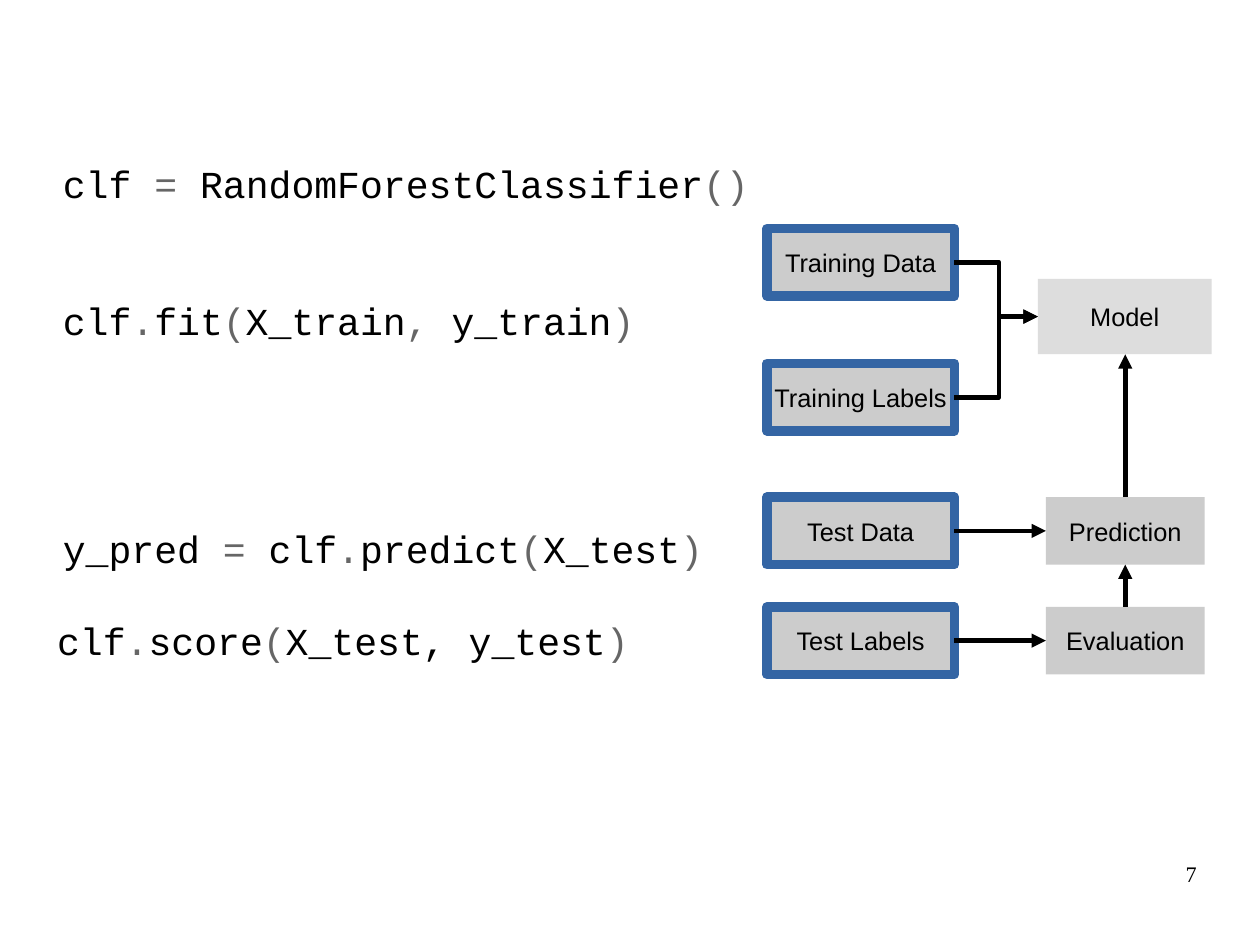
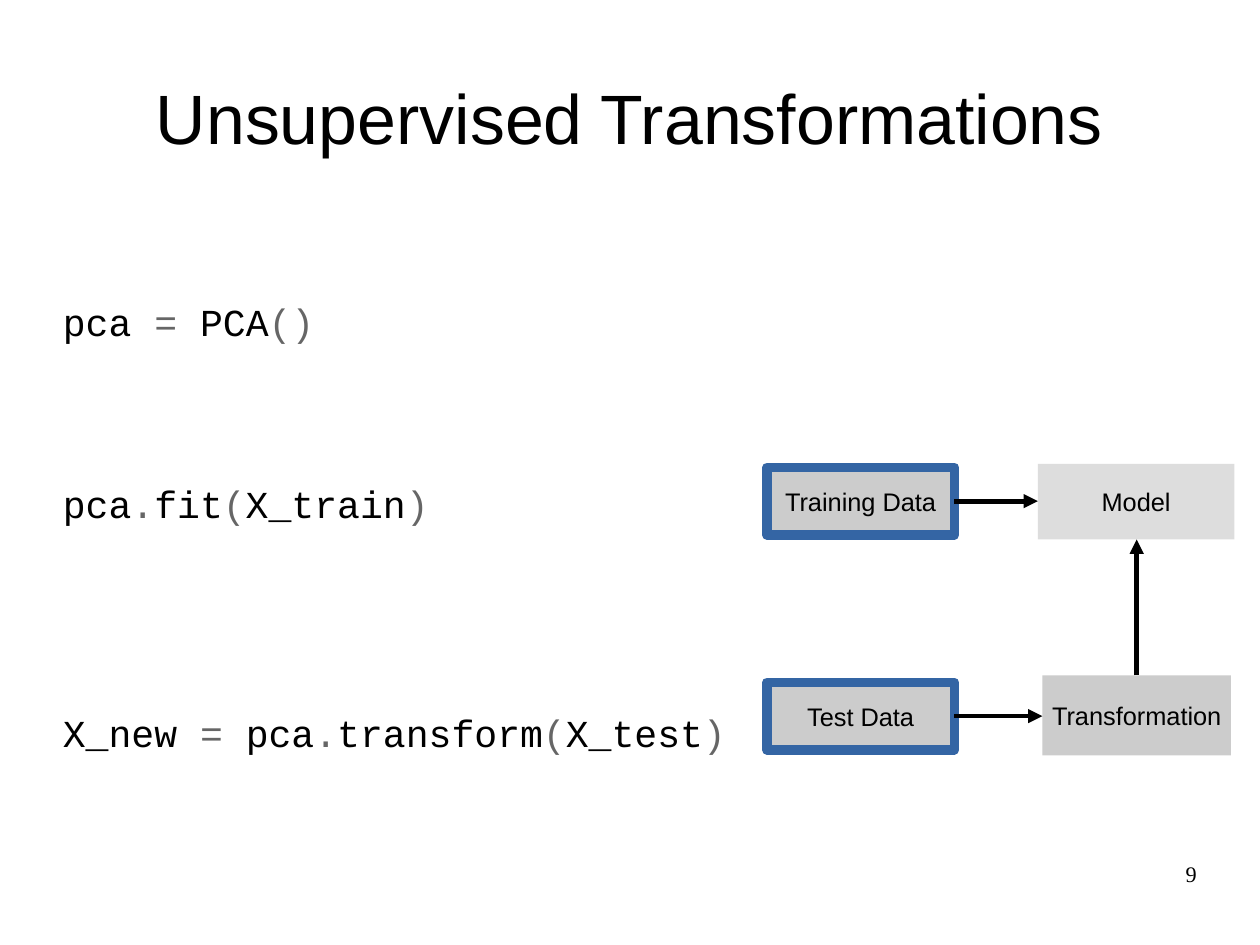
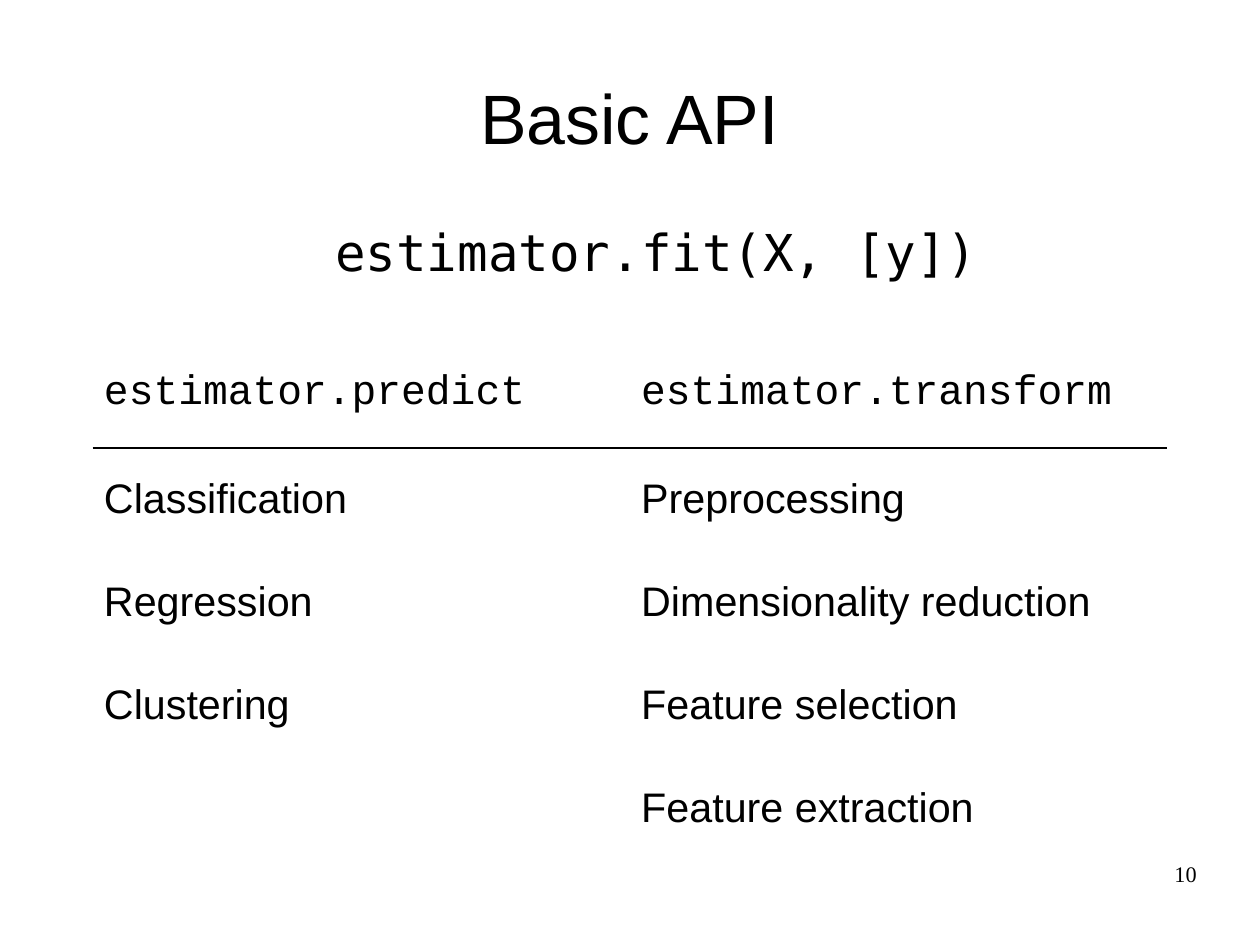
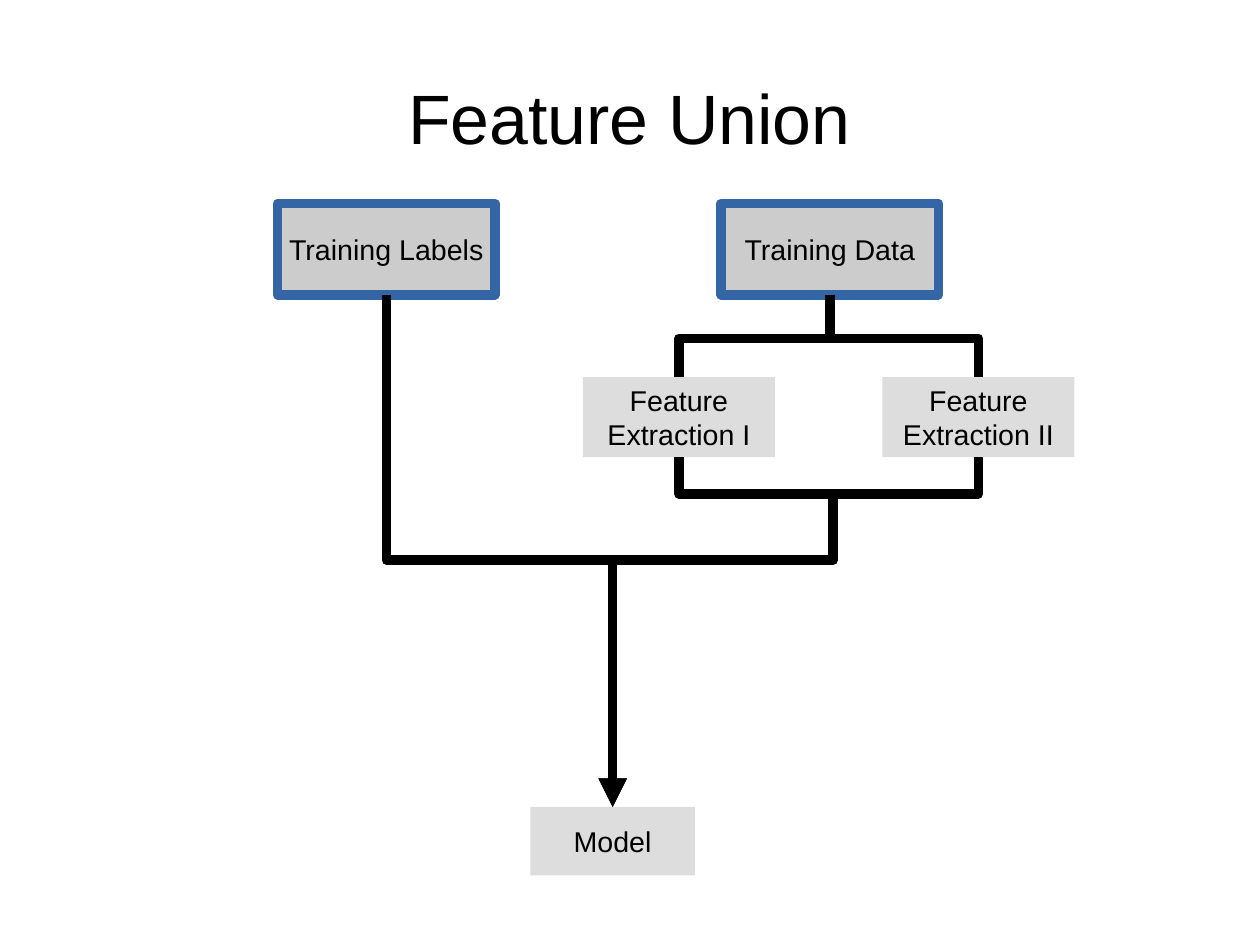
"""Build four slides on estimator interfaces with flow diagrams and a table."""
from itertools import groupby

from lxml.etree import SubElement
from pptx import Presentation
from pptx.dml.color import RGBColor
from pptx.enum.shapes import MSO_CONNECTOR as Connector, MSO_SHAPE as Shape
from pptx.enum.text import MSO_ANCHOR as Anchor, PP_ALIGN as Align
from pptx.oxml import parse_xml
from pptx.oxml.ns import nsdecls, qn
from pptx.util import Inches, Pt

SLIDE_SIZE = (28 / 2.54, 21 / 2.54)
BLACK, OPERATOR = "000000", "666666"
GREY, LIGHT, BLUE, WHITE = "CCCCCC", "DDDDDD", "3465A4", "FFFFFF"
SANS, SERIF, CODE, WIDE_CODE = "Arial", "Times New Roman", "Courier New", "DejaVu Sans Mono"
NO_TABLE_STYLE = "{2D5ABB26-0587-4C30-8999-92F81FD0307C}"
OPERATORS = "=.(),"

TITLE_AREA = (0.55, 0.33, 9.92, 1.38)
NUMBER_AREA = (7.9, 7.53, 2.57, 0.57)
DATA, MODEL, STEP = (GREY, BLUE), (LIGHT, None), (GREY, None)

SUPERVISED_CODE = [
    ("clf = RandomForestClassifier()", 0),
    ("clf.fit(X_train, y_train)", 57.5),
    ("y_pred = clf.predict(X_test)", 115),
]
SCORE_CODE = [("clf.score(X_test, y_test)", 0)]
SUPERVISED_BOXES = {
    "Training Data": (6.71, 2, 1.64, 0.59, DATA),
    "Training Labels": (6.71, 3.18, 1.64, 0.59, DATA),
    "Test Data": (6.71, 4.35, 1.64, 0.59, DATA),
    "Test Labels": (6.71, 5.31, 1.64, 0.59, DATA),
    "Model": (9.08, 2.44, 1.52, 0.66, MODEL),
    "Prediction": (9.15, 4.35, 1.39, 0.59, STEP),
    "Evaluation": (9.15, 5.31, 1.39, 0.59, STEP),
}
SUPERVISED_LINKS = [
    ("Training Data", "Model", "right", 8.74, True),
    ("Training Labels", "Model", "right", 8.74, True),
    ("Test Data", "Prediction", "right", None, True),
    ("Test Labels", "Evaluation", "right", None, True),
    ("Prediction", "Model", "up", None, True),
    ("Evaluation", "Prediction", "up", None, True),
]

UNSUPERVISED_CODE = [
    ("pca = PCA()", 0),
    ("pca.fit(X_train)", 86),
    ("X_new = pca.transform(X_test)", 115.5),
]
UNSUPERVISED_BOXES = {
    "Training Data": (6.71, 4.09, 1.64, 0.59, DATA),
    "Test Data": (6.71, 5.97, 1.64, 0.59, DATA),
    "Model": (9.08, 4.06, 1.72, 0.66, MODEL),
    "Transformation": (9.12, 5.91, 1.65, 0.7, STEP),
}
UNSUPERVISED_LINKS = [
    ("Training Data", "Model", "right", None, True),
    ("Test Data", "Transformation", "right", None, True),
    ("Transformation", "Model", "up", None, True),
]

METHODS = [
    ("estimator.predict", "estimator.transform"),
    ("Classification", "Preprocessing"),
    ("Regression", "Dimensionality reduction"),
    ("Clustering", "Feature selection"),
    ("", "Feature extraction"),
]

UNION_BOXES = {
    "Training Labels": (2.43, 1.78, 1.9, 0.8, DATA),
    "Training Data": (6.31, 1.78, 1.9, 0.8, DATA),
    "Feature\nExtraction I": (5.1, 3.3, 1.68, 0.7, MODEL),
    "Feature\nExtraction II": (7.72, 3.3, 1.68, 0.7, MODEL),
    "Model": (4.64, 7.06, 1.44, 0.6, MODEL),
}
JOIN = (7.29, 4.32)
UNION_LINKS = [
    ("Training Data", "Feature\nExtraction I", "down", 2.96, False),
    ("Training Data", "Feature\nExtraction II", "down", 2.96, False),
    ("Feature\nExtraction I", JOIN, "down", 4.32, False),
    ("Feature\nExtraction II", JOIN, "down", 4.32, False),
    ("Training Labels", "Model", "down", 4.9, True),
    (JOIN, "Model", "down", 4.9, True),
]

SIDES = {"left": (0, 0.5), "right": (1, 0.5), "top": (0.5, 0), "bottom": (0.5, 1)}
DIRECTIONS = {"right": ("right", "left"), "up": ("top", "bottom"), "down": ("bottom", "top")}


def color(value):
    return RGBColor.from_string(value)


def inches(values):
    return [Inches(value) for value in values]


def write(frame, text, size=16, font=SANS, align=Align.LEFT, anchor=Anchor.TOP,
          insets=(0, 0), wrap=True, before=0, operators="", add=False):
    frame.word_wrap, frame.vertical_anchor = wrap, anchor
    frame.margin_left = frame.margin_right = Inches(insets[0])
    frame.margin_top = frame.margin_bottom = Inches(insets[1])
    for index, line in enumerate(text.split("\n")):
        paragraph = frame.add_paragraph() if add or index else frame.paragraphs[0]
        paragraph.alignment = align
        if before:
            paragraph.space_before = Pt(before)
        for is_operator, letters in groupby(line, lambda letter: letter in operators):
            run = paragraph.add_run()
            run.text = "".join(letters)
            run.font.size, run.font.name = Pt(size), font
            run.font.color.rgb = color(OPERATOR if is_operator else BLACK)


def add_text(slide, area, text, **style):
    write(slide.shapes.add_textbox(*inches(area)).text_frame, text, **style)


def add_code(slide, area, lines, operators=OPERATORS):
    frame = slide.shapes.add_textbox(*inches(area)).text_frame
    for index, (line, before) in enumerate(lines):
        write(frame, line, size=24, font=CODE, before=before, operators=operators, add=index > 0)


def style_line(line, value, width, arrow=False):
    line.color.rgb, line.width = color(value), Pt(width)
    outline = line._get_or_add_ln()
    SubElement(outline, qn("a:round"))
    if arrow:
        SubElement(outline, qn("a:tailEnd"), type="triangle")


def add_box(slide, name, box, size):
    *area, (fill, border) = box
    shape = slide.shapes.add_shape(Shape.RECTANGLE, *inches(area))
    shape.shadow.inherit = False
    shape.fill.solid()
    shape.fill.fore_color.rgb = color(fill)
    if border:
        style_line(shape.line, border, 6)
    else:
        shape.line.fill.background()
    write(shape.text_frame, name, size=size, align=Align.CENTER, anchor=Anchor.MIDDLE,
          insets=(0.14, 0.09) if border else (0.1, 0.05), wrap=False)


def find_point(boxes, place, side):
    if place not in boxes:
        return place
    left, top, width, height, _ = boxes[place]
    across, down = SIDES[side]
    return left + width * across, top + height * down


def add_link(slide, start, end, vertical, bend, arrow, width):
    (x1, y1), (x2, y2) = start, end
    rotation = turn = 0
    if bend is None:
        kind = Connector.STRAIGHT
        x2, y2 = (x1, y2) if vertical else (x2, y1)
    else:
        kind = Connector.ELBOW
        turn = (bend - y1) / (y2 - y1) if vertical else (bend - x1) / (x2 - x1)
        if vertical:
            sign = 1 if x2 < x1 else -1
            rotation = 180 - 90 * sign
            center_x, center_y = (x1 + x2) / 2, (y1 + y2) / 2
            reach, drop = sign * (y2 - y1) / 2, abs(x2 - x1) / 2
            x1, x2 = center_x - reach, center_x + reach
            y1, y2 = center_y - drop, center_y + drop
    connector = slide.shapes.add_connector(kind, *inches((x1, y1, x2, y2)))
    properties = connector._element.spPr
    if rotation:
        properties.find(qn("a:xfrm")).set("rot", str(rotation * 60000))
    geometry = properties.find(qn("a:prstGeom"))
    if turn == 1:
        geometry.set("prst", "bentConnector2")
    elif turn:
        SubElement(geometry.find(qn("a:avLst")), qn("a:gd"),
                   name="adj1", fmla=f"val {round(turn * 100000)}")
    style_line(connector.line, BLACK, width, arrow)
    SubElement(properties, qn("a:effectLst"))


def add_diagram(slide, boxes, links, size=16, width=3):
    for name, box in boxes.items():
        add_box(slide, name, box, size)
    for source, target, direction, bend, arrow in links:
        leave, enter = DIRECTIONS[direction]
        add_link(slide, find_point(boxes, source, leave), find_point(boxes, target, enter),
                 direction != "right", bend, arrow, width)


def add_methods(slide):
    frame = slide.shapes.add_table(len(METHODS), 2, *inches((0.81, 2.96, 9.4, 4.56)))
    table = frame.table
    table.first_row = table.horz_banding = False
    table._tbl.tblPr.find(qn("a:tableStyleId")).text = NO_TABLE_STYLE
    for row_index, names in enumerate(METHODS):
        header = row_index == 0
        table.rows[row_index].height = Inches(0.96 if header else 0.9)
        for column_index, name in enumerate(names):
            cell = table.cell(row_index, column_index)
            cell.vertical_anchor = Anchor.MIDDLE
            cell.fill.background()
            if name:
                write(cell.text_frame, name, size=26, font=CODE if header else SANS,
                      anchor=Anchor.MIDDLE, insets=(0.1, 0.05))
            if header:
                cell.fill.solid()
                cell.fill.fore_color.rgb = color(WHITE)
                cell._tc.get_or_add_tcPr().insert(0, parse_xml(
                    f'<a:lnB {nsdecls("a")} w="{Pt(1.15)}"><a:solidFill>'
                    f'<a:srgbClr val="{BLACK}"/></a:solidFill></a:lnB>'))


def add_slide(presentation, title="", number=""):
    slide = presentation.slides.add_slide(presentation.slide_layouts[6])
    if title:
        add_text(slide, TITLE_AREA, title, size=44, align=Align.CENTER, anchor=Anchor.MIDDLE)
    if number:
        add_text(slide, NUMBER_AREA, number, size=14, font=SERIF, align=Align.RIGHT)
    return slide


def main():
    presentation = Presentation()
    presentation.slide_width, presentation.slide_height = inches(SLIDE_SIZE)

    slide = add_slide(presentation, number="7")
    add_code(slide, (0.55, 1.4, 8.85, 3.7), SUPERVISED_CODE)
    add_code(slide, (0.5, 5.4, 9.4, 1), SCORE_CODE, operators=".()")
    add_diagram(slide, SUPERVISED_BOXES, SUPERVISED_LINKS)

    slide = add_slide(presentation, "Unsupervised Transformations", "9")
    add_code(slide, (0.55, 2.61, 8.85, 4.1), UNSUPERVISED_CODE)
    add_diagram(slide, UNSUPERVISED_BOXES, UNSUPERVISED_LINKS)

    slide = add_slide(presentation, "Basic API", "10")
    add_text(slide, (1.02, 1.93, 9.45, 0.9), "estimator.fit(X, [y])",
             size=32, font=WIDE_CODE, align=Align.CENTER)
    add_methods(slide)

    slide = add_slide(presentation, "Feature Union")
    add_diagram(slide, UNION_BOXES, UNION_LINKS, size=18, width=6)

    presentation.save("out.pptx")


if __name__ == "__main__":
    main()
